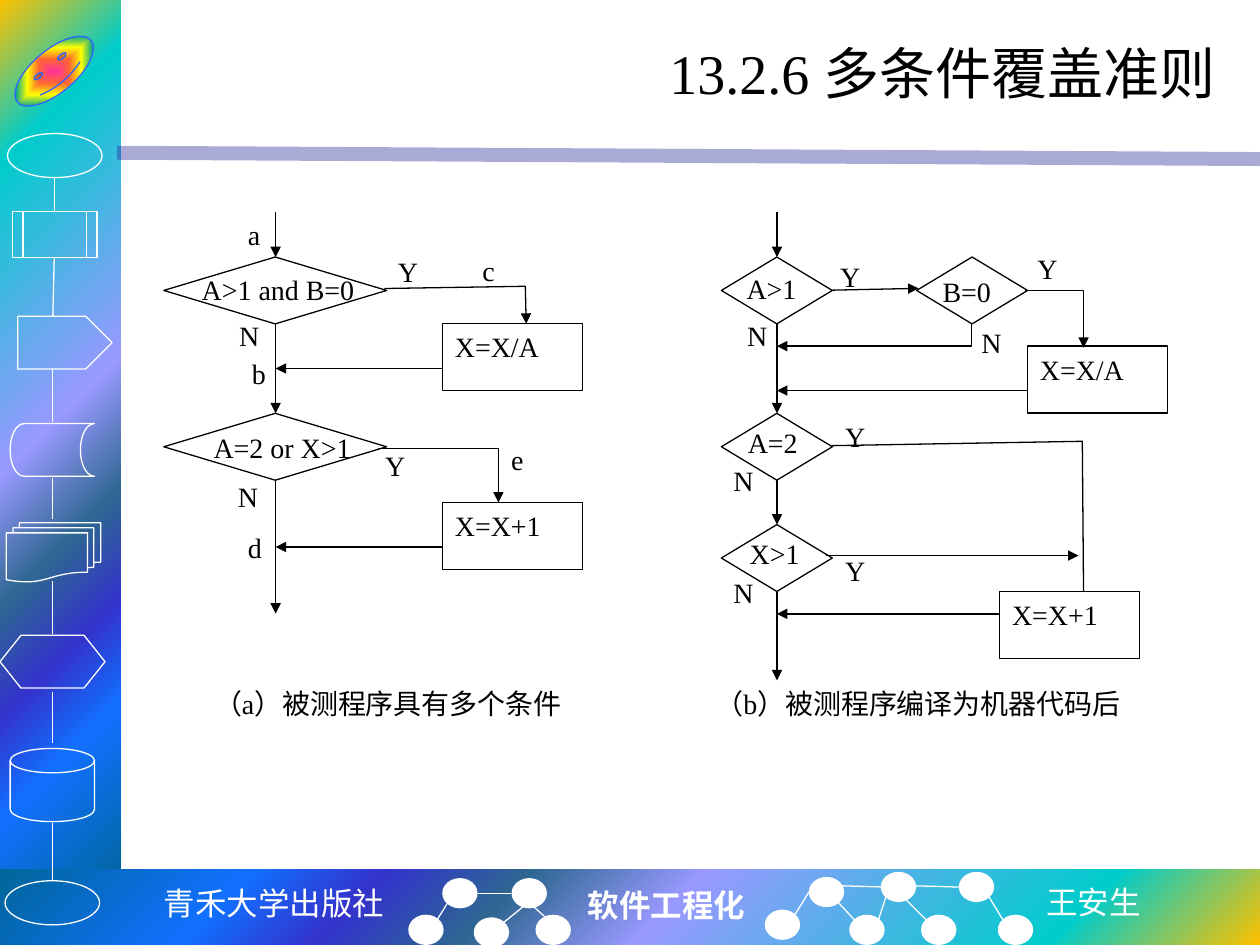
"""Build the slide on the multiple condition coverage criterion."""
import dataclasses
import typing

import lxml.etree
import pptx
import pptx.dml.color
import pptx.enum.shapes
import pptx.enum.text
import pptx.oxml.ns
import pptx.util

Pt = pptx.util.Pt
KIND = pptx.enum.shapes.MSO_SHAPE
ALIGN = pptx.enum.text.PP_ALIGN
ANCHOR = pptx.enum.text.MSO_ANCHOR


@dataclasses.dataclass(frozen=True)
class Theme:
    ink: str = "000000"
    white: str = "FFFFFF"
    rule: str = "262699"
    badge_line: str = "3366FF"
    band: tuple = ((0, "FFC000"), (16, "00CCCC"), (47, "9999FF"), (60, "2E6792"),
                   (71, "3333CC"), (81, "1170FF"), (100, "006699"))
    badge: tuple = ((0, "FF3399"), (25, "FF6633"), (50, "FFFF00"), (75, "01A78F"), (100, "3366FF"))
    latin: str = "Times New Roman"
    asian: str = "Noto Sans CJK SC"
    title: int = 32
    footer: int = 18
    body: int = 16
    thin: float = 0.75
    thick: float = 8


class Box(typing.NamedTuple):
    left: float
    top: float
    width: float
    height: float


class Symbol(typing.NamedTuple):
    kind: KIND
    box: Box
    text: str = ""


class Label(typing.NamedTuple):
    text: str
    left: float
    top: float
    width: float = 63.4


class Route(typing.NamedTuple):
    points: tuple
    arrow: bool = True


THEME = Theme()
NODE = (20.2, 17.3)
SMALL, WIDE, ACTION = (63.4, 38.2), (127.4, 38.2), (79.9, 38.2)

SIDEBAR = [
    Symbol(KIND.OVAL, Box(4.3, 76.3, 54, 25.2)),
    Symbol(KIND.FLOWCHART_PREDEFINED_PROCESS, Box(7.2, 121, 48.2, 26)),
    Symbol(KIND.PENTAGON, Box(10.1, 180.7, 54, 30.2)),
    Symbol(KIND.FLOWCHART_STORED_DATA, Box(5.8, 242, 48.2, 30.2)),
    Symbol(KIND.FLOWCHART_MULTIDOCUMENT, Box(3.6, 298.8, 54, 33.8)),
    Symbol(KIND.FLOWCHART_PREPARATION, Box(0, 363, 60, 30.2)),
    Symbol(KIND.FLOWCHART_MAGNETIC_DISK, Box(5.8, 427.7, 48.2, 41.8)),
    Symbol(KIND.OVAL, Box(2.9, 503.3, 54, 25.2)),
]
SIDEBAR_LINKS = [(31, 101, 31, 121), (31, 147.6, 30.2, 180.7)] + [
    (30.2, top, 30.2, bottom) for top, bottom in
    ((211, 241.2), (273, 296.6), (332, 362.2), (395.3, 424.8), (470.2, 503.3))]
NODES = [(252.7, 501.8), (292.3, 501.8), (233.3, 522.7), (270.7, 524.2), (306, 522.7),
         (437, 519.8), (462.2, 501.1), (485.3, 522.7), (503.3, 498.2), (526.3, 522.7),
         (547.9, 498.2), (570.2, 522.7)]
NODE_LINKS = [(249.8, 525.6, 255.6, 516.2), (288, 527, 299.5, 517.7), (292.3, 510.5, 272.9, 510.5),
              (488.2, 525.6, 478.8, 515.5), (529.2, 525.6, 514.8, 511.2),
              (573.1, 525.6, 565.2, 512.6), (501.8, 526.3, 506.2, 512.6),
              (522.7, 506.2, 547.9, 506.9), (454.3, 522.7, 462.2, 509.8),
              (481, 506.2, 506.2, 506.9), (312.5, 524.9, 305.3, 518.4)]
FOOTER = [("青禾大学出版社", Box(85.7, 501.8, 141.8, 28.8), False),
          ("软件工程化", Box(328.3, 502.6, 105, 28.8), True),
          ("王安生", Box(590.4, 501, 69, 28.8), False)]
FLOW = [Symbol(KIND.FLOWCHART_DECISION, Box(93.6, top, *WIDE)) for top in (146.9, 236.2)]
FLOW += [Symbol(KIND.FLOWCHART_DECISION, Box(left, top, *SMALL)) for left, top in
         ((412.2, 146.9), (523.8, 146.9), (412.2, 236.2), (412.2, 299.8))]
FLOW += [Symbol(KIND.RECTANGLE, Box(left, top, *ACTION), text) for text, left, top in
         (("X=X/A", 252.9, 184.9), ("X=X+1", 252.9, 287.1),
          ("X=X/A", 587.2, 197.8), ("X=X+1", 571.2, 338.1))]
LABELS = [
    Label("A>1 and B=0", 108.2, 152, 111.6), Label("A=2 or X>1", 115, 242.3, 100.8),
    Label("A>1", 419.5, 151.5), Label("B=0", 531.5, 153.3),
    Label("A=2", 420.2, 239.4), Label("X>1", 421.3, 303.2),
    Label("Y", 220.3, 142), Label("N", 129.6, 178.6), Label("Y", 213, 252.7), Label("N", 128.9, 270.7),
    Label("Y", 473, 144.7), Label("N", 419.8, 178.6), Label("Y", 585.7, 140.4), Label("N", 553.7, 182.3),
    Label("Y", 475.9, 236.2), Label("N", 412, 261.4), Label("Y", 475.9, 312.6), Label("N", 412, 325.5),
    Label("a", 134.6, 121), Label("b", 136.8, 200.2), Label("c", 268.6, 141.2),
    Label("d", 134.6, 299.5), Label("e", 285, 249.1),
]
CAPTIONS = [Label("（a）被测程序具有多个条件", 93.6, 388.8, 239),
            Label("（b）被测程序编译为机器代码后", 380.2, 388.8, 270.7)]
ROUTES = [Route(((spine, top), (spine, bottom))) for spine, top, bottom in
          ((157.5, 121, 146.9), (157.5, 185, 236.2), (157.5, 274.3, 350.6),
           (444, 121, 146.9), (444, 185, 236.2), (444, 274.3, 299.8), (444, 338.1, 388.8))]
ROUTES += [Route(((start, level), (spine, level))) for start, spine, level in
           ((252.9, 157.5, 210.6), (252.9, 157.5, 312.6), (587.2, 444, 223.2),
            (571.2, 444, 350.8), (472.3, 616.3, 317.5))]
ROUTES += [
    Route(((219.6, 164.9), (300.2, 163.6), (300.7, 185))),
    Route(((216, 256.3), (284.8, 256.3), (284.8, 287.1))),
    Route(((475.9, 165.8), (524.9, 164.8))),
    Route(((555.4, 185), (555.4, 197.8), (444, 197.8))),
    Route(((585.7, 166), (619.2, 166), (619.2, 198.7))),
    Route(((475.2, 254.7), (618.5, 252.2), (619.2, 338.1)), False),
]


def rgb(value: str) -> pptx.dml.color.RGBColor:
    return pptx.dml.color.RGBColor.from_string(value)


def child(parent, tag: str, **attributes: str):
    return lxml.etree.SubElement(parent, pptx.oxml.ns.qn(tag), attributes)


def write(frame, text: str, *, size: float = THEME.body, color: str = THEME.ink, bold: bool = False,
          align=ALIGN.LEFT, anchor=ANCHOR.TOP, wrap: bool = True, indent: float = 0) -> None:
    frame.word_wrap, frame.vertical_anchor = wrap, anchor
    para = frame.paragraphs[0]
    para.alignment = align
    if indent:
        properties = para._p.get_or_add_pPr()
        properties.set("marL", "0")
        properties.set("indent", str(int(Pt(indent))))
    span = para.add_run()
    span.text = text
    span.font.size, span.font.bold, span.font.name = Pt(size), bold, THEME.latin
    span.font.color.rgb = rgb(color)
    child(span._r.get_or_add_rPr(), "a:ea", typeface=THEME.asian)


def add_text(page, box: Box, text: str, **style) -> None:
    write(page.shapes.add_textbox(*map(Pt, box)).text_frame, text, **style)


def stroke(item, color: str, width: float = THEME.thin, arrow: bool = False) -> None:
    item.line.color.rgb, item.line.width = rgb(color), Pt(width)
    if arrow:
        child(item.line._get_or_add_ln(), "a:tailEnd", type="triangle")


def add_symbol(page, symbol: Symbol, line: str = "", fill: str = ""):
    shape = page.shapes.add_shape(symbol.kind, *map(Pt, symbol.box))
    shape.shadow.inherit = False
    if fill:
        shape.fill.solid()
        shape.fill.fore_color.rgb = rgb(fill)
    else:
        shape.fill.background()
    if line:
        stroke(shape, line)
    else:
        shape.line.fill.background()
    if symbol.text:
        write(shape.text_frame, symbol.text)
    return shape


def shade(shape, stops: tuple, kind: str, **focus: str) -> None:
    shape.fill.gradient()
    gradient = shape._element.spPr.find(pptx.oxml.ns.qn("a:gradFill"))
    for part in list(gradient):
        gradient.remove(part)
    listing = child(gradient, "a:gsLst")
    for position, color in stops:
        child(child(listing, "a:gs", pos=str(position * 1000)), "a:srgbClr", val=color)
    child(child(gradient, "a:path", path=kind), "a:fillToRect", **focus)


def add_line(page, ends: tuple, color: str, width: float = THEME.thin, arrow: bool = False):
    line = page.shapes.add_connector(pptx.enum.shapes.MSO_CONNECTOR.STRAIGHT, *map(Pt, ends))
    stroke(line, color, width, arrow)
    child(line._element.spPr, "a:effectLst")
    return line


def add_route(page, route: Route) -> None:
    if len(route.points) == 2:
        add_line(page, route.points[0] + route.points[1], THEME.ink, arrow=route.arrow)
        return
    start, *corners = [tuple(map(Pt, point)) for point in route.points]
    builder = page.shapes.build_freeform(*start)
    builder.add_line_segments(corners, close=False)
    bend = builder.convert_to_shape()
    bend.shadow.inherit = False
    bend.fill.background()
    stroke(bend, THEME.ink, arrow=route.arrow)


def draw_frame(page) -> None:
    for box, focus in ((Box(0, 0, 69, 510.5), {"r": "100000", "b": "100000"}),
                       (Box(0, 496.8, 720, 43.2), {"l": "100000", "t": "100000"})):
        shade(add_symbol(page, Symbol(KIND.RECTANGLE, box)), THEME.band, "circle", **focus)
    rule = add_line(page, (67, 87.3, 720, 90.9), THEME.rule, THEME.thick)
    child(next(rule._element.spPr.iter(pptx.oxml.ns.qn("a:srgbClr"))), "a:alpha", val="39000")
    badge = add_symbol(page, Symbol(KIND.SMILEY_FACE, Box(3.6, 28.5, 54.8, 24.4)), THEME.badge_line)
    badge.rotation = -40
    shade(badge, THEME.badge, "rect", l="50000", t="50000", r="50000", b="50000")
    for symbol in SIDEBAR:
        add_symbol(page, symbol, THEME.white)
    for node in NODES:
        add_symbol(page, Symbol(KIND.OVAL, Box(*node, *NODE)), fill=THEME.white)
    for ends in SIDEBAR_LINKS + NODE_LINKS:
        add_line(page, ends, THEME.white)
    for text, box, bold in FOOTER:
        add_text(page, box, text, size=THEME.footer, color=THEME.white, bold=bold,
                 align=ALIGN.CENTER, wrap=False)


def main() -> None:
    deck = pptx.Presentation()
    deck.slide_width, deck.slide_height = Pt(720), Pt(540)
    page = deck.slides.add_slide(deck.slide_layouts[6])
    draw_frame(page)
    add_text(page, Box(90, 12.2, 612, 58.3), "13.2.6 多条件覆盖准则", size=THEME.title,
             align=ALIGN.RIGHT, anchor=ANCHOR.MIDDLE)
    for symbol in FLOW:
        add_symbol(page, symbol, THEME.ink)
    for route in ROUTES:
        add_route(page, route)
    for group, indent in ((LABELS, 0), (CAPTIONS, 21.6)):
        for label in group:
            add_text(page, Box(label.left, label.top, label.width, 38.2), label.text, indent=indent)
    deck.save("out.pptx")


main()
